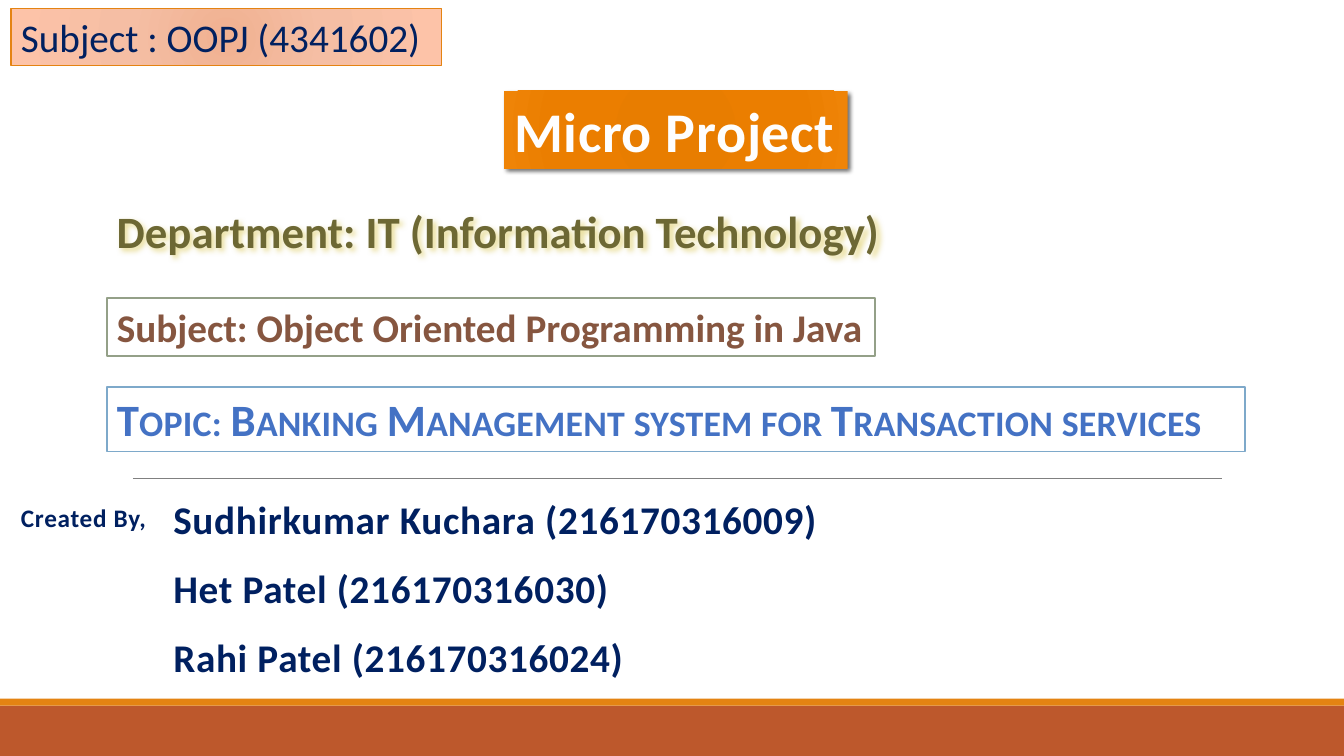
from pptx import Presentation
from pptx.dml.color import RGBColor
from pptx.enum import shapes as kinds, text as txt
from pptx.oxml import parse_xml
from pptx.oxml.ns import nsdecls, qn
from pptx.util import Pt

WHITE = RGBColor(0xFE, 0xFE, 0xFE)
PAPER = RGBColor(0xFF, 0xFF, 0xFF)
NAVY = RGBColor(0x00, 0x20, 0x60)
BLUE = RGBColor(0x44, 0x72, 0xC4)
SKY = RGBColor(0x7E, 0xA9, 0xCA)
OLIVE = RGBColor(0x6D, 0x68, 0x34)
SAGE = RGBColor(0x94, 0xA0, 0x88)
BROWN = RGBColor(0x86, 0x56, 0x40)
RUST = RGBColor(0xBD, 0x58, 0x2C)
ORANGE = RGBColor(0xE4, 0x83, 0x12)
GREY = RGBColor(0x80, 0x80, 0x80)
BLACK = RGBColor(0x00, 0x00, 0x00)
GLOW = RGBColor(0xE0, 0xD0, 0x70)
PEACH_STOPS = ((0, RGBColor(0xF0, 0xB1, 0x91)), (45, RGBColor(0xF5, 0xBE, 0xA4)),
               (100, RGBColor(0xFD, 0xC3, 0xA8)))
AMBER_STOPS = ((0, RGBColor(0xE5, 0x7B, 0x00)), (34, RGBColor(0xE8, 0x7D, 0x00)),
               (70, RGBColor(0xEB, 0x7E, 0x00)), (100, RGBColor(0xEF, 0x84, 0x07)))

SLIDE_W, SLIDE_H = 960, 540
MARGIN = 76.3
STUDENTS = ("Sudhirkumar Kuchara (216170316009)", "Het Patel (216170316030)",
            "Rahi Patel (216170316024)")


def place(shape, box):
    for side, value in zip(("left", "top", "width", "height"), box):
        setattr(shape, side, Pt(value))


def fill_radial(shape, stops):
    shape.fill.gradient()
    spPr = shape._element.spPr
    marks = "".join(f'<a:gs pos="{pos * 1000}"><a:srgbClr val="{color}"/></a:gs>'
                    for pos, color in stops)
    spPr.replace(spPr.find(qn("a:gradFill")), parse_xml(
        f'<a:gradFill {nsdecls("a")} rotWithShape="1"><a:gsLst>{marks}</a:gsLst>'
        '<a:path path="circle"><a:fillToRect l="100000" t="100000" r="100000" b="100000"/>'
        '</a:path></a:gradFill>'))


def cast_shadow(shape, color, opacity, blur, distance):
    shape.shadow.inherit = False
    shape._element.spPr.find(qn("a:effectLst")).append(parse_xml(
        f'<a:outerShdw {nsdecls("a")} blurRad="{Pt(blur)}" dist="{Pt(distance)}" '
        f'dir="2700000" algn="tl" rotWithShape="0"><a:srgbClr val="{color}">'
        f'<a:alpha val="{opacity * 1000}"/></a:srgbClr></a:outerShdw>'))


def outline(shape, color, width):
    shape.line.color.rgb = color
    shape.line.width = Pt(width)


def write(shape, lines, size, color, bold=True, gap=0, **run_xml):
    """Set left-aligned lines; run_xml holds spc (1/100 pt) and cap."""
    frame = shape.text_frame
    frame_format = {"word_wrap": True, "vertical_anchor": txt.MSO_ANCHOR.TOP,
                    "auto_size": txt.MSO_AUTO_SIZE.NONE}
    for name, value in frame_format.items():
        setattr(frame, name, value)
    frame.text = "\n".join(lines)
    for paragraph in frame.paragraphs:
        paragraph_format = {"alignment": txt.PP_ALIGN.LEFT, "space_before": Pt(0),
                            "space_after": Pt(gap), "line_spacing": 1.0}
        for name, value in paragraph_format.items():
            setattr(paragraph, name, value)
        run = paragraph.runs[0]
        for name, value in {"name": "Calibri", "size": Pt(size), "bold": bold}.items():
            setattr(run.font, name, value)
        run.font.color.rgb = color
        for name, value in run_xml.items():
            run._r.get_or_add_rPr().set(name, value)


def add_panel(slide, box, fill=None):
    panel = slide.shapes.add_shape(kinds.MSO_SHAPE.RECTANGLE, *map(Pt, box))
    panel.shadow.inherit = False
    panel.line.fill.background()
    if fill is None:
        panel.fill.background()
    else:
        panel.fill.solid()
        panel.fill.fore_color.rgb = fill
    return panel


def add_label(slide, box):
    return slide.shapes.add_textbox(*map(Pt, box))


def add_footer_bands(slide, box):
    left, top, width, height = box
    stripe = 5
    add_panel(slide, (left, top + stripe, width, height - stripe), RUST)
    add_panel(slide, (left, top, width, stripe), ORANGE)


def add_heading(slide, box):
    heading = slide.shapes.title
    place(heading, box)
    fill_radial(heading, AMBER_STOPS)
    cast_shadow(heading, BLACK, 60, 3.5, 2)
    write(heading, ["Micro Project"], 40, WHITE, spc="50")


def add_course_tag(slide, box):
    tag = add_panel(slide, box)
    fill_radial(tag, PEACH_STOPS)
    outline(tag, ORANGE, 1)
    write(tag, ["Subject : OOPJ (4341602)"], 28, NAVY, bold=False)


def add_project_details(slide, box):
    left, top, width, height = box
    department = add_label(slide, (left, top, 565, 46))
    cast_shadow(department, GLOW, 70, 4, 2)
    write(department, ["Department: IT (Information Technology)"], 32, OLIVE)

    subject = add_panel(slide, (left, top + 71.3, 548.6, 41), PAPER)
    outline(subject, SAGE, 1.25)
    write(subject, ["Subject: Object Oriented Programming in Java"], 28, BROWN)

    topic = add_panel(slide, (left, top + height - 46, width, 46))
    outline(topic, SKY, 1.25)
    write(topic, ["Topic: Banking Management system for Transaction services"],
          32, BLUE, spc="20", cap="small")


def add_divider(slide, left, right, y):
    divider = slide.shapes.add_connector(kinds.MSO_CONNECTOR.STRAIGHT,
                                         Pt(left), Pt(y), Pt(right), Pt(y))
    outline(divider, GREY, 0.5)
    divider._element.spPr.append(parse_xml(f'<a:effectLst {nsdecls("a")}/>'))


def add_authors(slide, box):
    left, top, width, height = box
    created_by = add_label(slide, (left, top + 5, 136.8, 29))
    write(created_by, ["Created By,"], 18, NAVY, spc="50")

    students = slide.placeholders[1]
    indent = 108.7
    place(students, (left + indent, top, width - indent, height))
    write(students, STUDENTS, 28, NAVY, gap=15.8, spc="50")
    for paragraph in students.text_frame.paragraphs:
        pPr = paragraph._p.get_or_add_pPr()
        for name in ("marL", "indent"):
            pPr.set(name, "0")
        pPr.append(parse_xml(f'<a:buNone {nsdecls("a")}/>'))


def build_cover(deck):
    slide = deck.slides.add_slide(deck.slide_layouts[1])
    add_footer_bands(slide, (0, 499, SLIDE_W, SLIDE_H - 499))
    add_divider(slide, 95, 872.6, 342)
    add_course_tag(slide, (7.9, 6, 307.4, 41))
    add_heading(slide, (360, 65, 245.5, 55.5))
    add_project_details(slide, (MARGIN, 141.8, 812.9, 180.7))
    add_authors(slide, (7.9, 350, 791.3, 141))


def main():
    deck = Presentation()
    deck.slide_width, deck.slide_height = Pt(SLIDE_W), Pt(SLIDE_H)
    build_cover(deck)
    deck.save("out.pptx")


if __name__ == "__main__":
    main()
